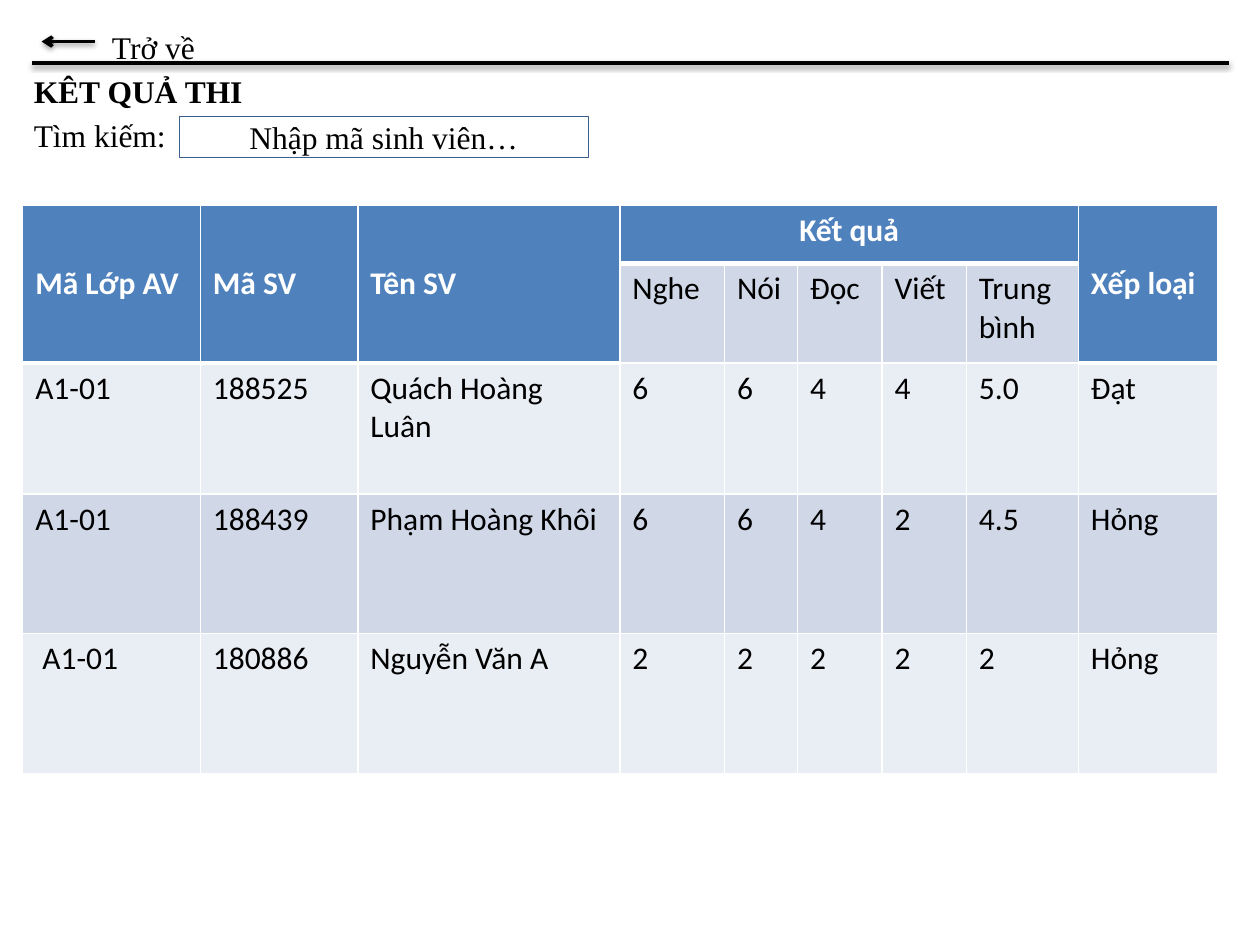
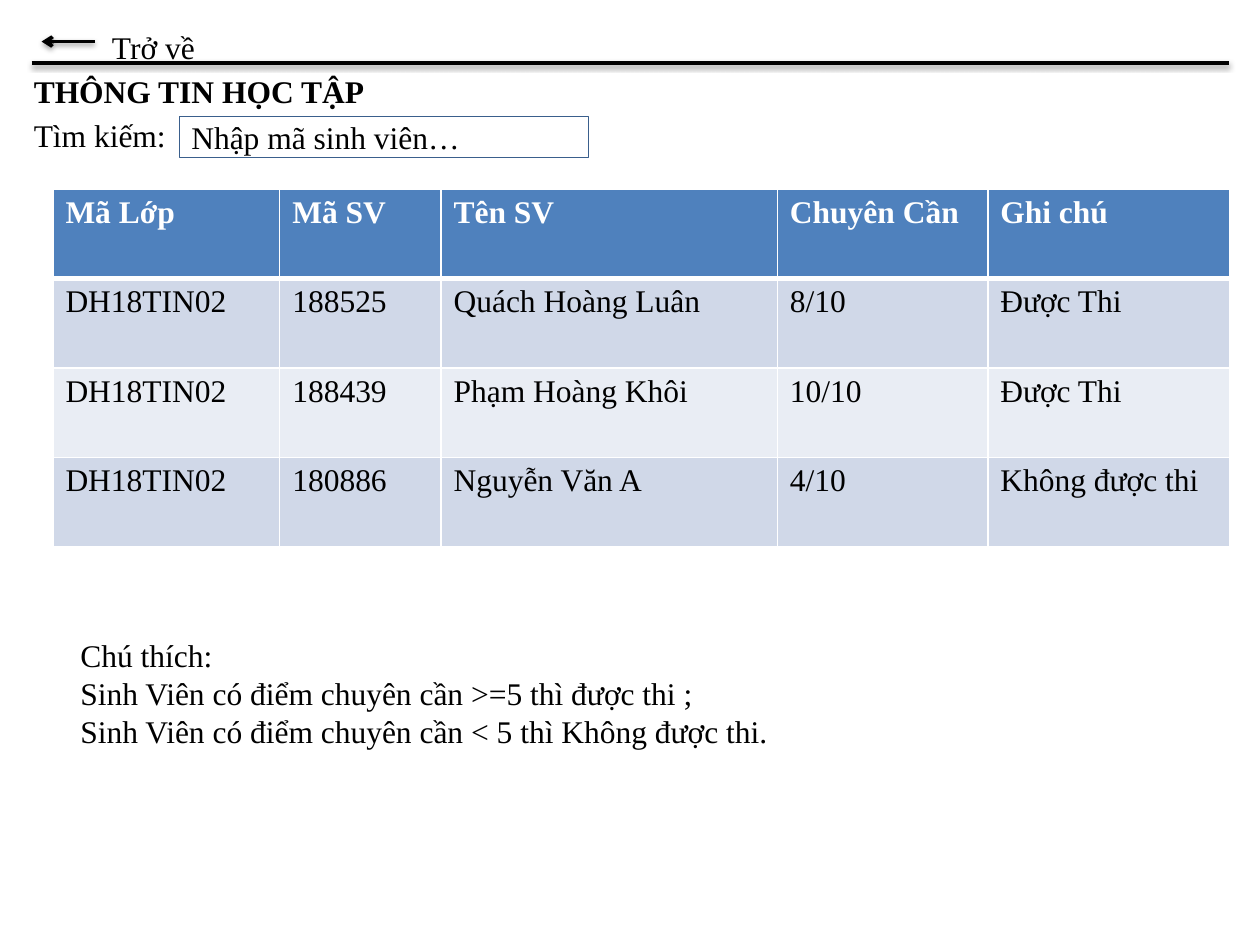
from lxml.etree import SubElement
from pptx import Presentation
from pptx.dml.color import RGBColor
from pptx.enum.shapes import MSO_CONNECTOR, MSO_SHAPE
from pptx.enum.text import MSO_ANCHOR, MSO_AUTO_SIZE, PP_ALIGN
from pptx.oxml.ns import qn
from pptx.util import Inches, Pt

BLACK, WHITE = "000000", "FFFFFF"
HEADER_BLUE, BOX_BLUE = "4F81BD", "3A5F8C"
BANDS = ["E9EDF4", "D0D8E8"]
SERIF, SANS = "Times New Roman", "Calibri"


def colour(value):
    """Turn a hex string into a colour."""
    return RGBColor.from_string(value)


def add_child(parent, tag, **attributes):
    """Append an XML element with its attributes."""
    return SubElement(parent, qn(tag), {key: str(value) for key, value in attributes.items()})


class Deck:
    """Holds the shared style and the current slide."""

    def __init__(self):
        """Start a 10 by 7.5 inch presentation."""
        self.deck = Presentation()
        self.deck.slide_width, self.deck.slide_height = Inches(10), Inches(7.5)
        self.page = None

    def add_page(self, title, search_align=None):
        """Add a slide with the back link, title and search field."""
        self.page = self.deck.slides.add_slide(self.deck.slide_layouts[6])
        box = self.text(["Trở về", title, "Tìm kiếm:"], 0.17, 0.17, 9.67, 7.17)
        paras = box.text_frame.paragraphs
        for para in paras:
            para.space_before = Pt(3.6)
        paras[0]._p.get_or_add_pPr().set("indent", str(Inches(0.62)))
        paras[1].runs[0].font.bold = True
        self.line(0.25, 0.5, 9.75, 0.5)
        self.line(0.75, 0.33, 0.33, 0.33, arrow=True)
        self.search_field("Nhập mã sinh viên…", search_align)

    def add_span(self, para, words, **formats):
        """Fill a paragraph with one formatted run."""
        span = para.add_run()
        span.text = words
        span.font.color.rgb = colour(formats.pop("color", BLACK))
        for name, value in {"name": SERIF, "size": Pt(18), "bold": False, **formats}.items():
            setattr(span.font, name, value)

    def text(self, lines, left, top, width, height, grow=False):
        """Add a wrapping text box, one paragraph per line."""
        box = self.page.shapes.add_textbox(*map(Inches, (left, top, width, height)))
        frame = box.text_frame
        frame.word_wrap = True
        frame.auto_size = MSO_AUTO_SIZE.SHAPE_TO_FIT_TEXT if grow else MSO_AUTO_SIZE.NONE
        for index, words in enumerate(lines):
            para = frame.add_paragraph() if index else frame.paragraphs[0]
            self.add_span(para, words)
        return box

    def line(self, x1, y1, x2, y2, arrow=False):
        """Add a black line with a soft shadow and optional arrowhead."""
        line = self.page.shapes.add_connector(
            MSO_CONNECTOR.STRAIGHT, *map(Inches, (x1, y1, x2, y2)))
        line.line.width = Pt(2)
        line.line.color.rgb = colour(BLACK)
        if arrow:
            add_child(line.line._get_or_add_ln(), "a:tailEnd", type="arrow")
        effects = add_child(line._element.spPr, "a:effectLst")
        shadow = add_child(effects, "a:outerShdw", blurRad=Pt(3.1), dist=Pt(1.6),
                           dir=5400000, rotWithShape=0)
        add_child(add_child(shadow, "a:srgbClr", val=BLACK), "a:alpha", val=38000)

    def search_field(self, words, align):
        """Add the outlined search field."""
        box = self.page.shapes.add_shape(
            MSO_SHAPE.RECTANGLE, *map(Inches, (1.42, 0.92, 3.25, 0.33)))
        box.shadow.inherit = False
        box.fill.solid()
        box.fill.fore_color.rgb = colour(WHITE)
        box.line.color.rgb = colour(BOX_BLUE)
        box.line.width = Pt(0.25)
        box.text_frame.word_wrap = True
        box.text_frame.vertical_anchor = MSO_ANCHOR.MIDDLE
        para = box.text_frame.paragraphs[0]
        para.alignment = align or PP_ALIGN.LEFT
        self.add_span(para, words)

    def style_cell(self, cell, fill, top, bottom):
        """Give a cell white borders and a fill."""
        properties = cell._tc.get_or_add_tcPr()
        for side, width in {"L": 1, "R": 1, "T": top, "B": bottom}.items():
            border = add_child(properties, f"a:ln{side}", w=Pt(width))
            add_child(add_child(border, "a:solidFill"), "a:srgbClr", val=WHITE)
        cell.fill.solid()
        cell.fill.fore_color.rgb = colour(fill)

    def table(self, rows, left, top, widths, heights, font, merges=()):
        """Add a banded table; merges are (row, column, last row, last column)."""
        table = self.page.shapes.add_table(
            len(rows), len(widths), Inches(left), Inches(top),
            Inches(sum(widths)), Inches(sum(heights))).table
        for column, width in zip(table.columns, widths):
            column.width = Inches(width)
        for row, height in zip(table.rows, heights):
            row.height = Inches(height)
        tall = set()
        for first_row, first_col, last_row, last_col in merges:
            table.cell(first_row, first_col).merge(table.cell(last_row, last_col))
            if last_row > first_row:
                tall.add(first_col)
        for r, values in enumerate(rows):
            for c, words in enumerate(values):
                cell = table.cell(r, c)
                header = r == 0 or words is None
                self.style_cell(cell, HEADER_BLUE if header else BANDS[r % 2],
                                3 if r == 1 else 1, 3 if header else 1)
                if words is None:
                    continue
                para = cell.text_frame.paragraphs[0]
                self.add_span(para, words, name=font, bold=header,
                              color=WHITE if header else BLACK)
                if header and c in tall:
                    cell.vertical_anchor = MSO_ANCHOR.MIDDLE
                elif cell.is_merge_origin:
                    para.alignment = PP_ALIGN.CENTER


deck = Deck()

deck.add_page("KÊT QUẢ THI", PP_ALIGN.CENTER)
results = [
    ["Mã Lớp AV", "Mã SV", "Tên SV", "Kết quả", None, None, None, None, "Xếp loại"],
    [None, None, None, "Nghe", "Nói", "Đọc", "Viết", "Trung bình", None],
    ["A1-01", "188525", "Quách Hoàng Luân", "6", "6", "4", "4", "5.0", "Đạt"],
    ["A1-01", "188439", "Phạm Hoàng Khôi", "6", "6", "4", "2", "4.5", "Hỏng"],
    [" A1-01", "180886", "Nguyễn Văn A", "2", "2", "2", "2", "2", "Hỏng"],
]
deck.table(results, 0.18, 1.63,
           [1.41, 1.25, 2.08, 0.83, 0.58, 0.67, 0.67, 0.89, 1.11],
           [0.46, 0.79, 1.04, 1.11, 1.11], SANS,
           merges=[(0, 3, 0, 7)] + [(0, col, 1, col) for col in (0, 1, 2, 8)])

deck.add_page("THÔNG TIN HỌC TẬP")
attendance = [
    ["Mã Lớp", "Mã SV", "Tên SV", "Chuyên Cần", "Ghi chú"],
    ["DH18TIN02", "188525", "Quách Hoàng Luân", "8/10", "Được Thi"],
    ["DH18TIN02", "188439", "Phạm Hoàng Khôi", "10/10", "Được Thi"],
    ["DH18TIN02", "180886", "Nguyễn Văn A", "4/10", "Không được thi"],
]
deck.table(attendance, 0.42, 1.5, [1.8, 1.28, 2.67, 1.67, 1.92], [0.71] * 4, SERIF)
deck.text(["Chú thích:",
           "Sinh Viên có điểm chuyên cần >=5 thì được thi ;",
           "Sinh Viên có điểm chuyên cần < 5 thì Không được thi."],
          0.54, 5, 9.04, 1.01, grow=True)

deck.deck.save("out.pptx")
